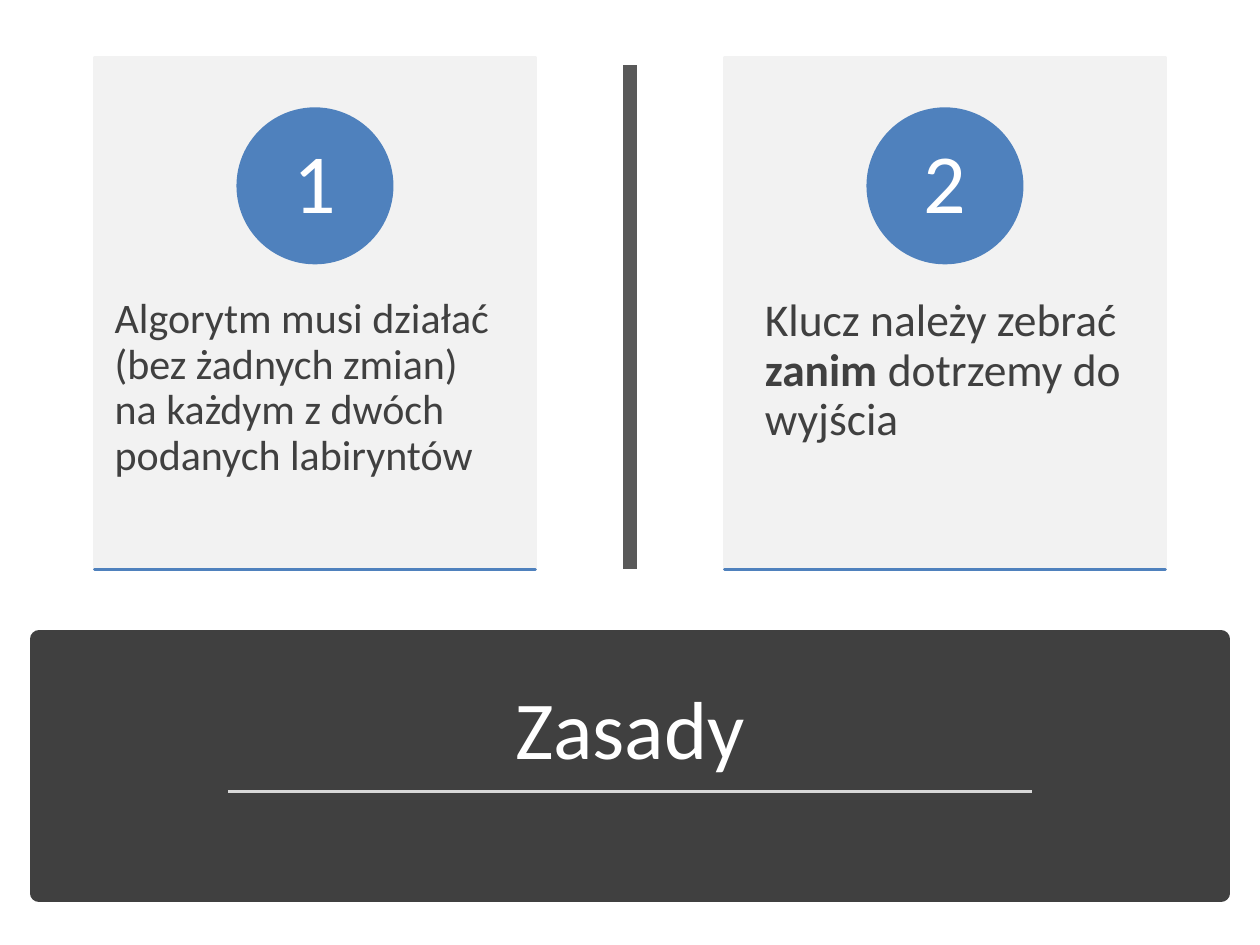
import pptx
import pptx.util
from lxml import etree
from pptx.dml.color import RGBColor
from pptx.enum.shapes import MSO_CONNECTOR, MSO_SHAPE
from pptx.enum.text import MSO_ANCHOR, MSO_AUTO_SIZE, PP_ALIGN
from pptx.oxml.ns import qn

WHITE = RGBColor(0xFF, 0xFF, 0xFF)
DARK = RGBColor(0x40, 0x40, 0x40)
GREY = RGBColor(0x59, 0x59, 0x59)
SILVER = RGBColor(0xD9, 0xD9, 0xD9)
PALE = RGBColor(0xF2, 0xF2, 0xF2)
BLUE = RGBColor(0x4F, 0x81, 0xBD)
FONT = "Calibri"
WIDTH, HEIGHT = 10, 7.5

# Each card: number, text runs as (text, bold), text size, shift of text's left edge
CARDS = [
    ("1", [("Algorytm musi działać (bez żadnych zmian) na każdym z dwóch "
            "podanych labiryntów", False)], 24, -0.16),
    ("2", [("Klucz należy zebrać ", False), ("zanim", True),
           (" dotrzemy do wyjścia", False)], 26, 0),
]


def inches(*lengths):
    return [pptx.util.Inches(length) for length in lengths]


def add_block(shapes, kind, box, color, line_width=2):
    sp = shapes.add_shape(kind, *inches(*box))
    sp.shadow.inherit = False
    sp.fill.solid()
    sp.fill.fore_color.rgb = color
    sp.line.color.rgb = color
    sp.line.width = pptx.util.Pt(line_width)
    etree.SubElement(sp.line._get_or_add_ln(), qn("a:round"))
    return sp


def add_rule(s, start, end, color, width):
    line = s.shapes.add_connector(MSO_CONNECTOR.STRAIGHT, *inches(*start, *end))
    line.line.color.rgb = color
    line.line.width = pptx.util.Pt(width)
    etree.SubElement(line._element.spPr, qn("a:effectLst"))


def set_text(tf, runs, size, color, align, anchor, insets=(0.1, 0.05)):
    """Fill the frame with one paragraph of (text, bold) runs."""
    tf.word_wrap = True
    tf.auto_size = MSO_AUTO_SIZE.NONE
    tf.vertical_anchor = anchor
    tf.margin_left = tf.margin_right = pptx.util.Inches(insets[0])
    tf.margin_top = tf.margin_bottom = pptx.util.Inches(insets[1])
    p = tf.paragraphs[0]
    p.alignment = align
    p.line_spacing = 0.9
    for text, bold in runs:
        r = p.add_run()
        r.text = text
        r.font.name = FONT
        r.font.size = pptx.util.Pt(size)
        r.font.bold = bold
        r.font.color.rgb = color


def add_card(s, box, number, runs, size, shift):
    left, top, width, height = box
    center = left + width / 2
    shapes = s.shapes.add_group_shape().shapes
    add_block(shapes, MSO_SHAPE.RECTANGLE, box, PALE)

    body = shapes.add_textbox(*inches(left + shift, top + 0.38 * height,
                                      width - shift, 0.6 * height))
    set_text(body.text_frame, runs, size, DARK, PP_ALIGN.LEFT, MSO_ANCHOR.TOP,
             (0.32, 0.36))

    disc, label = 0.3 * height, 0.21 * height
    middle = top + 0.25 * height
    add_block(shapes, MSO_SHAPE.OVAL,
              (center - disc / 2, middle - disc / 2, disc, disc), BLUE)
    digit = shapes.add_textbox(*inches(center - label / 2, middle - label / 2,
                                       label, label))
    set_text(digit.text_frame, [(number, False)], 48, WHITE, PP_ALIGN.CENTER,
             MSO_ANCHOR.MIDDLE, (0.11, 0.01))
    add_block(shapes, MSO_SHAPE.RECTANGLE, (left, top + height, width, 0), BLUE)


def add_title_band(s, box):
    left, top, width, height = box
    add_block(s.shapes, MSO_SHAPE.RECTANGLE, box, DARK, 10)
    rule_y = top + 0.6 * height
    add_rule(s, (left + 0.16 * width, rule_y), (left + 0.84 * width, rule_y),
             SILVER, 1.75)

    title = s.shapes.title
    title.left, title.top, title.width, title.height = inches(
        left + 0.12, top + 0.13, width - 0.24, 1.02)
    set_text(title.text_frame, [("Zasady", False)], 47, WHITE, PP_ALIGN.CENTER,
             MSO_ANCHOR.BOTTOM)
    # Bring the title in front of the band
    s.shapes._spTree.append(title._element)


def add_cards(s, box):
    """Place the cards in equal columns with a divider in the middle."""
    left, top, width, height = box
    column = width / len(CARDS)
    center = left + width / 2
    add_rule(s, (center, top + 0.06), (center, top + height), GREY, 8)
    for i, card in enumerate(CARDS):
        add_card(s, (left + (i + 0.15) * column, top, 0.7 * column, height), *card)


def main():
    prs = pptx.Presentation()
    prs.slide_width, prs.slide_height = inches(WIDTH, HEIGHT)
    s = prs.slides.add_slide(prs.slide_layouts[5])
    add_title_band(s, (0.31, 5.07, WIDTH - 0.62, 2.02))
    add_cards(s, (0, 0.46, WIDTH, 4.06))
    prs.save("out.pptx")


if __name__ == "__main__":
    main()
